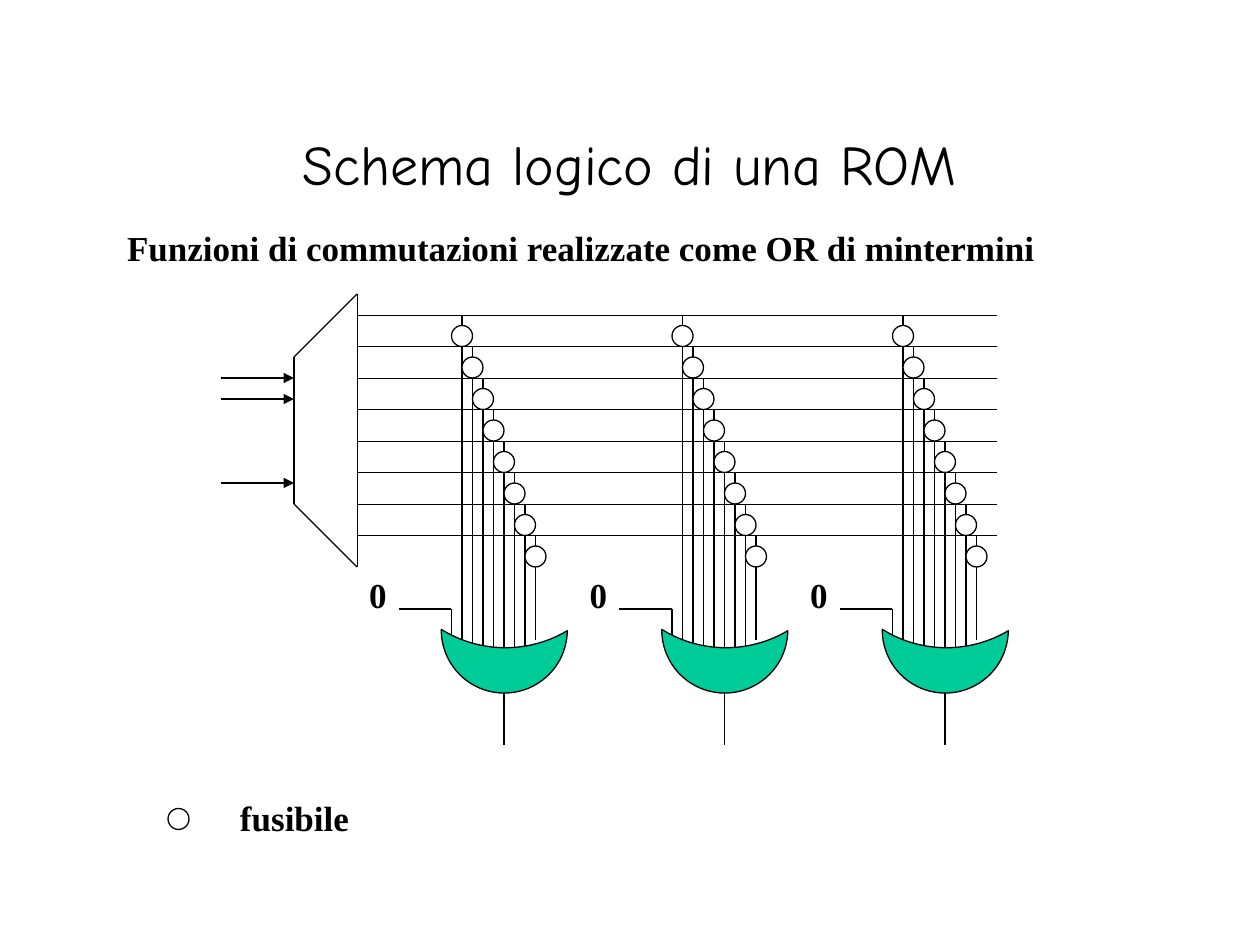
from pptx import Presentation
from pptx import util as u
from pptx.dml.color import RGBColor
from pptx.enum import shapes, text
from pptx.oxml.ns import qn
from lxml import etree

PX = 7620
BLACK = RGBColor(0, 0, 0)
WHITE = RGBColor(255, 255, 255)
GREEN = RGBColor(0x00, 0xCC, 0x99)
BODY = {"name": "Times New Roman", "size": u.Pt(20), "bold": True}
TITLE = {"name": "Comic Neue", "size": u.Pt(32), "bold": False}

prs = Presentation()
prs.slide_width, prs.slide_height = 1200 * PX, 900 * PX
s = prs.slides.add_slide(prs.slide_layouts[6])


def draw(kind, box, color=None, weight=0.75):
    add = s.shapes.add_shape if color is not None else s.shapes.add_connector
    sp = add(kind, *[v * PX for v in box])
    sp.line.color.rgb = BLACK
    sp.line.width = u.Pt(weight)
    if color is not None:
        sp.shadow.inherit = False
        sp.fill.solid()
        sp.fill.fore_color.rgb = color
    else:
        etree.SubElement(sp._element.spPr, qn("a:effectLst"))
    return sp


def label(words, box, font, wrap=False):
    tf = s.shapes.add_textbox(*[v * PX for v in box]).text_frame
    tf.word_wrap = wrap
    tf.vertical_anchor = text.MSO_ANCHOR.MIDDLE
    p = tf.paragraphs[0]
    p.alignment = text.PP_ALIGN.CENTER
    r = p.add_run()
    r.text = words
    r.font.color.rgb = BLACK
    for key, value in font.items():
        setattr(r.font, key, value)


LINE = shapes.MSO_CONNECTOR.STRAIGHT
OVAL = shapes.MSO_SHAPE.OVAL

label("Schema logico di una ROM", (90, 80, 1020, 150), TITLE, True)
label("Funzioni di commutazioni realizzate come OR di mintermini", (103, 209, 901, 53), BODY)

for side in [(280, 340, 280, 480), (280, 340, 340, 280), (280, 480, 340, 540)]:
    draw(LINE, side)
draw(LINE, (340, 280, 340, 540), weight=0.5)

for y in (360, 380, 460):
    arrow = draw(LINE, (210, y, 280, y))
    ln = arrow._element.spPr.find(qn("a:ln"))
    etree.SubElement(ln, qn("a:tailEnd"), type="triangle")

for row, start in enumerate([340, 340, 340, 340, 340, 370, 350, 340]):
    y = 300 + 30 * row
    draw(LINE, (start, y, 950, y), weight=0.5)
    if row in (4, 5, 6):
        draw(LINE, (340, y, 410, y), weight=0.5)

for bank in range(3):
    x = 440 + 210 * bank
    for i in range(8):
        bottom = 610 if i in (0, 7) else 620
        draw(LINE, (x + 10 * i, 300 + 30 * i, x + 10 * i, bottom))
    for i in reversed(range(8)):
        draw(OVAL, (x + 10 * i - 10, 310 + 30 * i, 20, 20), WHITE)
    draw(LINE, (x + 40, 660, x + 40, 710))
    draw(LINE, (x - 10, 610, x - 10, 580))
    draw(LINE, (x - 10, 580, x - 60, 580))
    label("0", (x - 110, 540, 60, 53), BODY, True)
    gate = draw(shapes.MSO_SHAPE.MOON, (x + 10, 570, 60, 120), GREEN)
    gate.adjustments[0] = 0.72
    gate.rotation = 270.6

draw(OVAL, (160, 770, 20, 20), WHITE)
label("fusibile", (210, 752, 141, 53), BODY)

prs.save("out.pptx")
